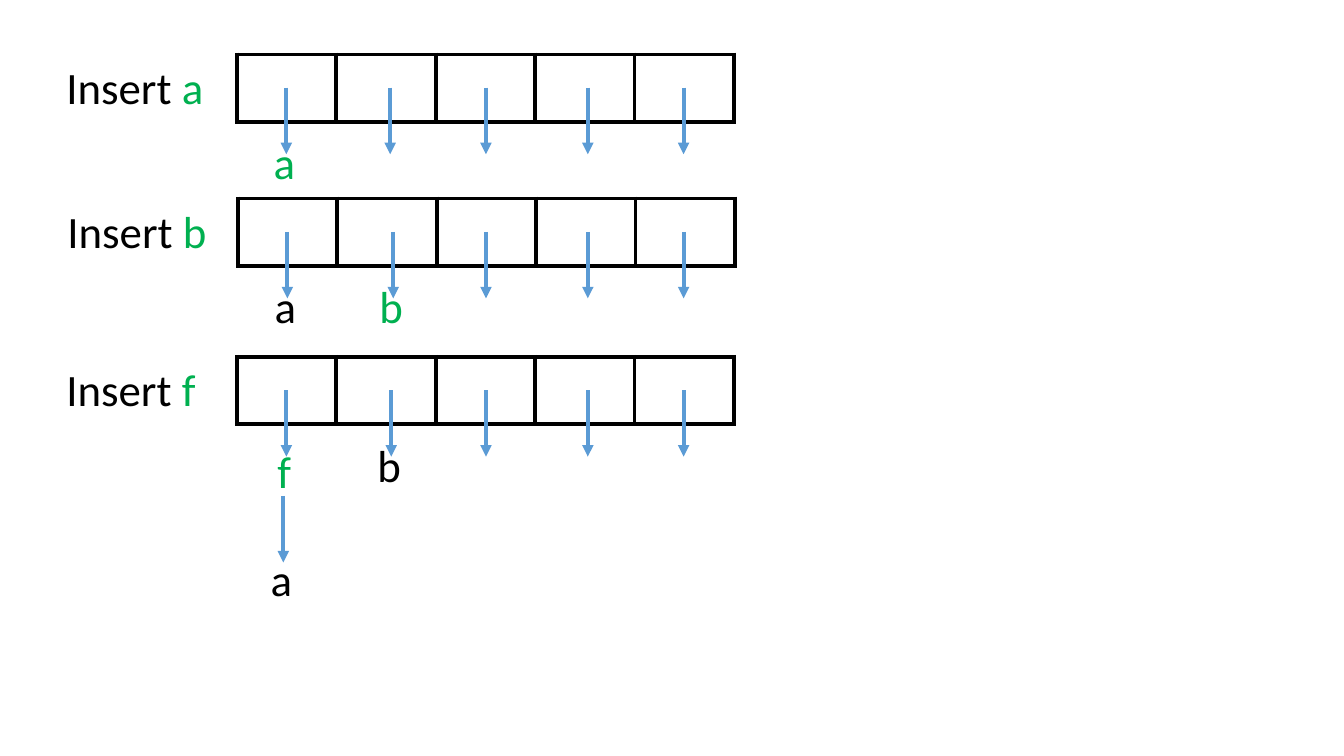
"""Draw a hash table with chaining after three insertions."""
from dataclasses import dataclass

import lxml.etree
import pptx
import pptx.dml.color
import pptx.enum.shapes
import pptx.enum.text
import pptx.oxml
import pptx.oxml.ns
import pptx.slide
import pptx.util

EMU_PER_PX = 9144
BLACK, WHITE, GREEN, BLUE = "000000", "FFFFFF", "00B050", "5B9BD5"
BUCKETS = 5
TABLE_WIDTH, TABLE_HEIGHT = 493, 67
LABEL_OFFSET, LABEL_WIDTH, LABEL_HEIGHT = 179, 169, 64
LINK_OFFSET, LINK_LENGTH = 33, 66
KEY_OFFSET, KEY_WIDTH, KEY_HEIGHT = 39, 74, 94


@dataclass(frozen=True)
class Link:
    x: int
    key: str = ""
    color: str = BLACK
    drop: int = 42


@dataclass(frozen=True)
class Insertion:
    key: str
    left: int
    top: int
    links: tuple[Link, ...]


EMPTY_LINKS = (Link(482), Link(583), Link(678))
INSERTIONS = (
    Insertion("a", 235, 54, (Link(284, "a", GREEN), Link(387), *EMPTY_LINKS)),
    Insertion("b", 236, 197, (Link(285, "a"), Link(390, "b", GREEN), *EMPTY_LINKS)),
    Insertion("f", 235, 354, (Link(284, "f", GREEN, 48), Link(388, "b"), *EMPTY_LINKS)),
)
CHAINED_LINK, CHAINED_TOP = Link(281, "a", drop=50), 492


def px(length: int) -> pptx.util.Emu:
    """Convert px to EMU."""
    return pptx.util.Emu(length * EMU_PER_PX)


def rgb(color: str) -> pptx.dml.color.RGBColor:
    """Convert a hex string to a colour."""
    return pptx.dml.color.RGBColor.from_string(color)


def draw_text(slide: pptx.slide.Slide, left: int, top: int, width: int, height: int,
              parts: tuple[tuple[str, str], ...],
              align: pptx.enum.text.PP_ALIGN = pptx.enum.text.PP_ALIGN.LEFT) -> None:
    """Write one line made of coloured parts."""
    frame = slide.shapes.add_textbox(px(left), px(top), px(width), px(height)).text_frame
    frame.word_wrap = True
    frame.auto_size = pptx.enum.text.MSO_AUTO_SIZE.SHAPE_TO_FIT_TEXT
    line = frame.paragraphs[0]
    line.alignment = align
    for words, color in parts:
        run = line.add_run()
        run.text = words
        run.font.name = "Calibri"
        run.font.size = pptx.util.Pt(32)
        run.font.color.rgb = rgb(color)


def draw_buckets(slide: pptx.slide.Slide, left: int, top: int) -> None:
    """Draw the row of bordered buckets."""
    buckets = slide.shapes.add_table(
        1, BUCKETS, px(left), px(top), px(TABLE_WIDTH), px(TABLE_HEIGHT)).table
    for bucket in buckets.iter_cells():
        bucket.fill.solid()
        bucket.fill.fore_color.rgb = rgb(WHITE)
        properties = bucket._tc.get_or_add_tcPr()
        for position, side in enumerate(("lnL", "lnR", "lnT", "lnB")):
            border = pptx.oxml.parse_xml(
                f'<a:{side} {pptx.oxml.ns.nsdecls("a")} w="{pptx.util.Pt(3)}">'
                f'<a:solidFill><a:srgbClr val="{BLACK}"/></a:solidFill></a:{side}>')
            properties.insert(position, border)


def draw_link(slide: pptx.slide.Slide, link: Link, top: int) -> None:
    """Draw an arrow and the key it points to."""
    if link.key:
        draw_text(slide, link.x - KEY_OFFSET, top + link.drop, KEY_WIDTH, KEY_HEIGHT,
                  ((link.key, link.color),), pptx.enum.text.PP_ALIGN.CENTER)
    arrow = slide.shapes.add_connector(
        pptx.enum.shapes.MSO_CONNECTOR.STRAIGHT,
        px(link.x), px(top), px(link.x), px(top + LINK_LENGTH))
    arrow.line.color.rgb = rgb(BLUE)
    arrow.line.width = pptx.util.Pt(2.75)
    lxml.etree.SubElement(arrow.line._get_or_add_ln(),
                          pptx.oxml.ns.qn("a:tailEnd"), type="triangle")
    lxml.etree.SubElement(arrow._element.spPr, pptx.oxml.ns.qn("a:effectLst"))


def draw_insertion(slide: pptx.slide.Slide, insertion: Insertion) -> None:
    """Draw the label, buckets and links of one insertion."""
    draw_buckets(slide, insertion.left, insertion.top)
    draw_text(slide, insertion.left - LABEL_OFFSET, insertion.top, LABEL_WIDTH, LABEL_HEIGHT,
              (("Insert ", BLACK), (insertion.key, GREEN)))
    for link in insertion.links:
        draw_link(slide, link, insertion.top + LINK_OFFSET)


def main() -> None:
    """Build and save the slide."""
    deck = pptx.Presentation()
    deck.slide_width, deck.slide_height = px(1333), px(750)
    slide = deck.slides.add_slide(deck.slide_layouts[6])
    for insertion in INSERTIONS:
        draw_insertion(slide, insertion)
    draw_link(slide, CHAINED_LINK, CHAINED_TOP)
    deck.save("out.pptx")


if __name__ == "__main__":
    main()
